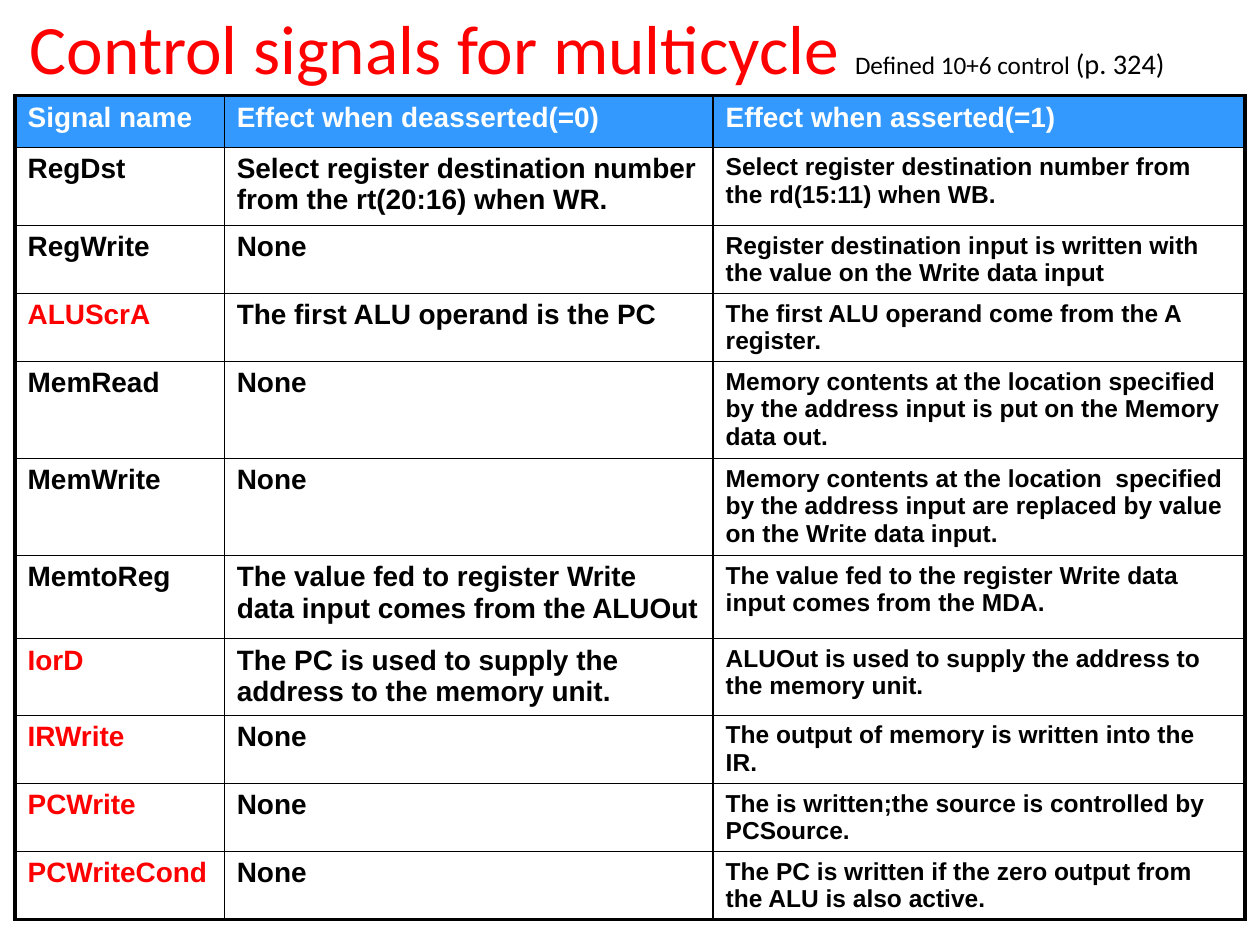
from lxml.etree import SubElement
from pptx import Presentation
from pptx.dml.color import RGBColor
from pptx.enum.text import MSO_ANCHOR, PP_ALIGN
from pptx.oxml.ns import qn
from pptx.util import Inches, Pt

COLORS = {"black": "000000", "red": "FF0000", "white": "FFFFFF", "blue": "3399FF"}
WIDTH, HEIGHT = 10, 7.5
THIN, THICK = 1, 2.25
COLUMN_WIDTHS = [1.66, 3.88, 4.22]
ROW_HEIGHTS = [0.41, 0.62, 0.54, 0.54, 0.77, 0.77, 0.66, 0.61, 0.54, 0.54, 0.54]
COLUMN_SIZES = [16, 16, 14]
NEW_SIGNALS = {"ALUScrA", "IorD", "IRWrite", "PCWrite", "PCWriteCond"}
TITLE = [
    ("Control signals for multicycle ", 39.6, "red"),
    ("Defined 10+6 control ", 14.4, "black"),
    ("(p. 324)", 16.2, "black"),
]
SIGNALS = [
    ("Signal name", "Effect when deasserted(=0)", "Effect when asserted(=1)"),
    ("RegDst", "Select register destination number from the rt(20:16) when WR.",
     "Select register destination number from the rd(15:11) when WB."),
    ("RegWrite", "None",
     "Register destination input is written with the value on the Write data input"),
    ("ALUScrA", "The first ALU operand is the PC",
     "The first ALU operand come from the A register."),
    ("MemRead", "None",
     "Memory contents at the location specified by the address input "
     "is put on the Memory data out."),
    ("MemWrite", "None",
     "Memory contents at the location  specified by the address input "
     "are replaced by value on the Write data input."),
    ("MemtoReg", "The value fed to register Write data input comes from the ALUOut",
     "The value fed to the register Write data input comes from the MDA."),
    ("IorD", "The PC is used to supply the address to the memory unit.",
     "ALUOut is used to supply the address to the memory unit."),
    ("IRWrite", "None", "The output of memory is written into the IR."),
    ("PCWrite", "None", "The is written;the source is controlled by PCSource."),
    ("PCWriteCond", "None",
     "The PC is written if the zero output from the ALU is also active."),
]


def set_values(target, values):
    """Set each named attribute of the target."""
    for name, value in values.items():
        setattr(target, name, value)


def add_span(para, text, color, **values):
    """Add a run of text with its font values and colour."""
    span = para.add_run()
    span.text = text
    set_values(span.font, values)
    span.font.color.rgb = RGBColor.from_string(COLORS[color])


def add_title(page):
    """Add the centred title line with its small remark."""
    box = page.shapes.add_textbox(0, Inches(0.04), Inches(0.948 * WIDTH), Inches(0.67))
    set_values(box.text_frame, {"word_wrap": True, "vertical_anchor": MSO_ANCHOR.MIDDLE})
    para = box.text_frame.paragraphs[0]
    para.alignment = PP_ALIGN.CENTER
    for text, size, color in TITLE:
        add_span(para, text, color, name="Calibri", size=Pt(size))


def set_borders(cell, row, column):
    """Draw thin inner borders and thick outer borders around a cell."""
    outer = {
        "lnL": column == 0,
        "lnR": column == len(COLUMN_WIDTHS) - 1,
        "lnT": row == 0,
        "lnB": row == len(ROW_HEIGHTS) - 1,
    }
    properties = cell._tc.get_or_add_tcPr()
    for side, is_outer in outer.items():
        line = SubElement(properties, qn(f"a:{side}"), w=str(Pt(THICK if is_outer else THIN)))
        fill = SubElement(line, qn("a:solidFill"))
        SubElement(fill, qn("a:srgbClr"), val=COLORS["black"])


def fill_cell(cell, row, column, text):
    """Give a cell its borders, fill and bold text."""
    set_borders(cell, row, column)
    is_header = row == 0
    cell.margin_bottom = 0
    cell.fill.solid()
    cell.fill.fore_color.rgb = RGBColor.from_string(COLORS["blue" if is_header else "white"])
    color = "white" if is_header else "red" if text in NEW_SIGNALS else "black"
    size = COLUMN_SIZES[0] if is_header else COLUMN_SIZES[column]
    add_span(cell.text_frame.paragraphs[0], text, color, name="Arial", size=Pt(size), bold=True)


def add_signal_table(page):
    """Add the table of control signals and their effects."""
    frame = page.shapes.add_table(
        len(ROW_HEIGHTS), len(COLUMN_WIDTHS), Inches(0.12), Inches(0.76),
        Inches(sum(COLUMN_WIDTHS)), Inches(sum(ROW_HEIGHTS)))
    table = frame.table
    set_values(table, {"first_row": False, "horz_banding": False})
    for column, width in zip(table.columns, COLUMN_WIDTHS):
        column.width = Inches(width)
    for row, height in zip(table.rows, ROW_HEIGHTS):
        row.height = Inches(height)
    for row, texts in enumerate(SIGNALS):
        for column, text in enumerate(texts):
            fill_cell(table.cell(row, column), row, column, text)


def main():
    """Build the slide and save it."""
    deck = Presentation()
    set_values(deck, {"slide_width": Inches(WIDTH), "slide_height": Inches(HEIGHT)})
    page = deck.slides.add_slide(deck.slide_layouts[6])
    add_title(page)
    add_signal_table(page)
    deck.save("out.pptx")


if __name__ == "__main__":
    main()
